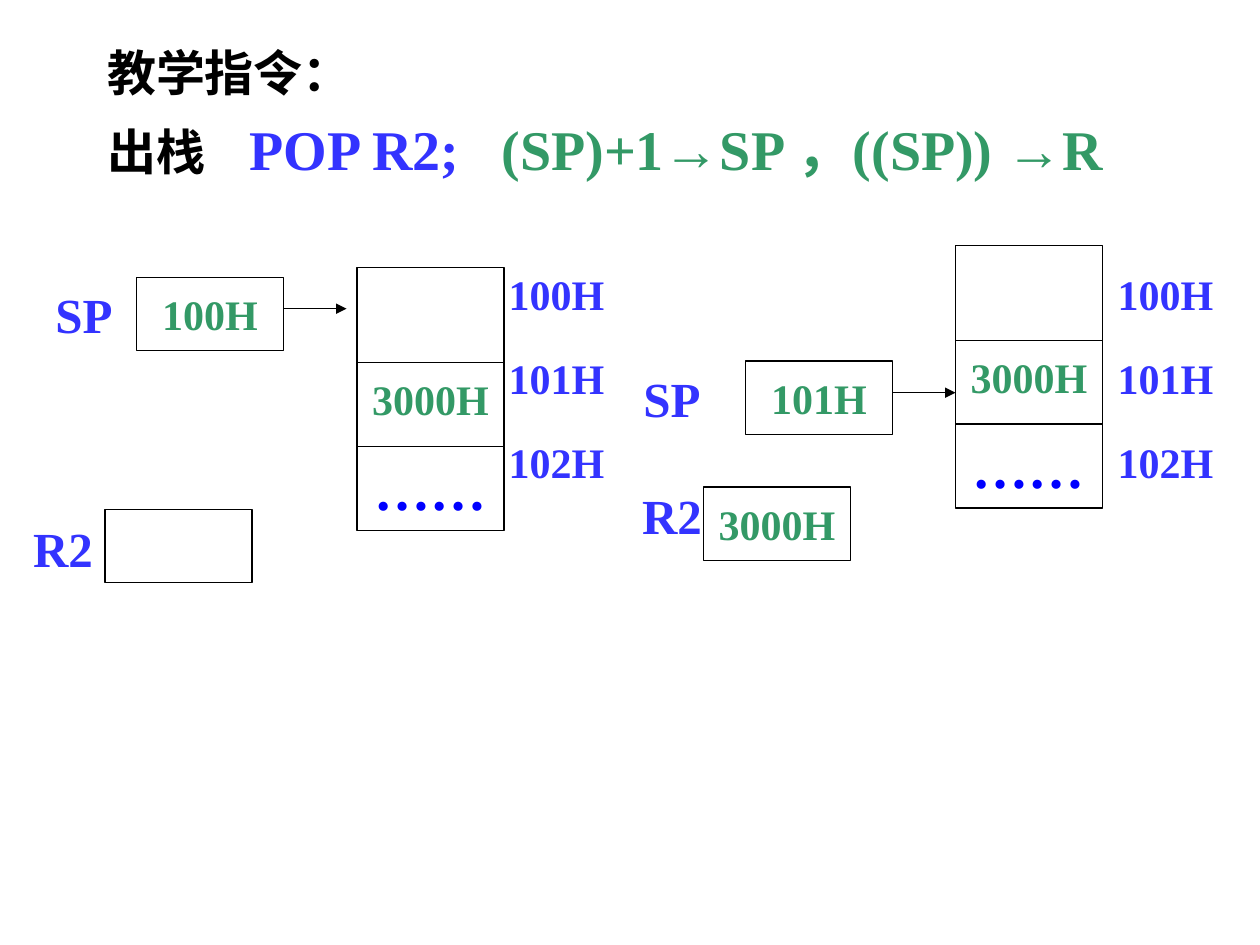
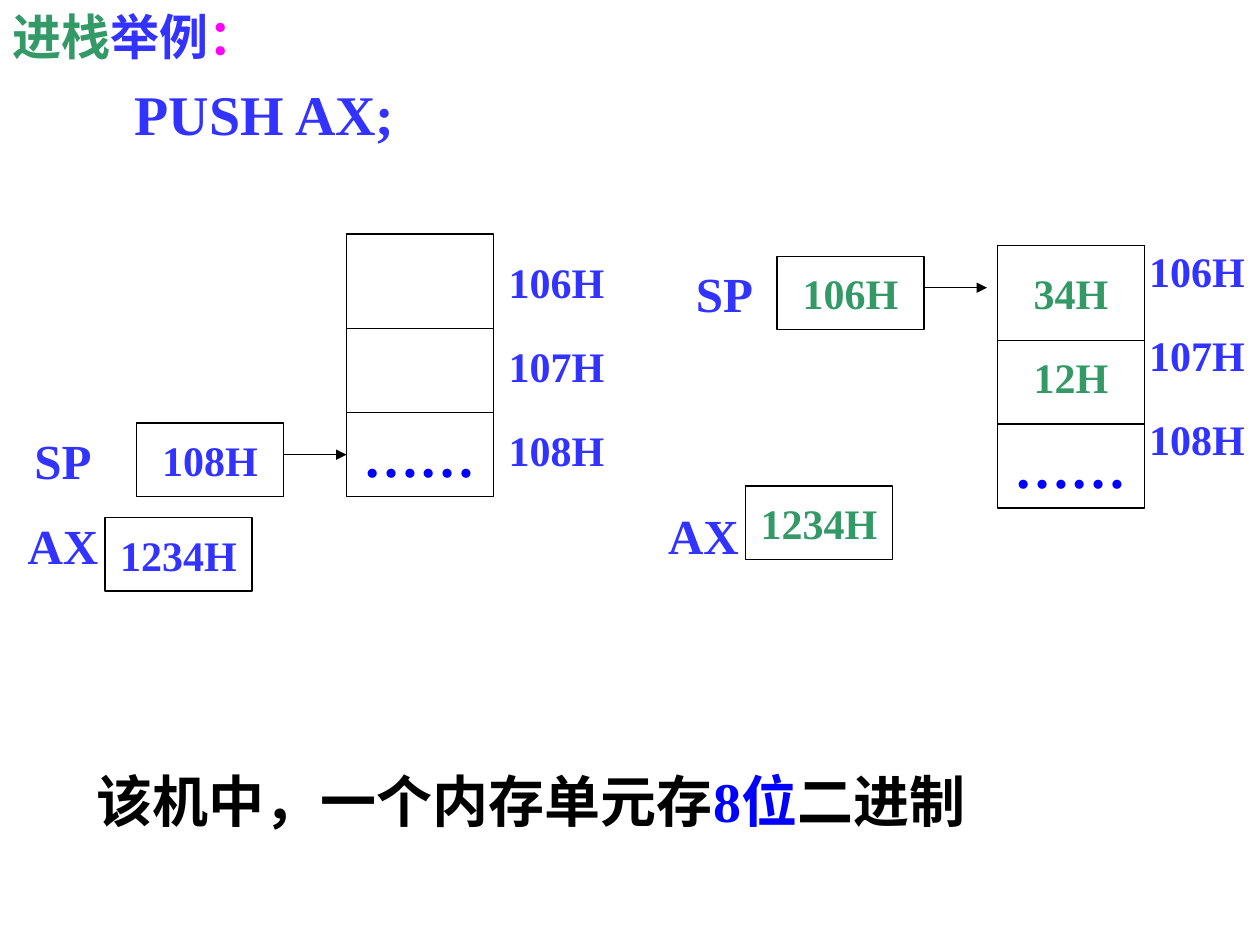
from lxml import etree
from pptx import Presentation
from pptx import util as u
from pptx.dml.color import RGBColor
from pptx.enum import shapes, text
from pptx.oxml.ns import qn

BLACK = RGBColor(0, 0, 0)
WHITE = RGBColor(255, 255, 255)
BLUE = RGBColor(0x33, 0x33, 0xFF)
PURE = RGBColor(0, 0, 255)
GREEN = RGBColor(0x33, 0x99, 0x66)
PINK = RGBColor(255, 0, 255)

deck = Presentation()
deck.slide_width, deck.slide_height = u.Inches(10), u.Inches(7.5)
COL = deck.slide_width / 120
ROW = deck.slide_height / 90


def write(frame, lines, align=text.PP_ALIGN.LEFT, anchor=text.MSO_ANCHOR.TOP,
          wrap=True, gap=0, tabs=()):
    frame.word_wrap = wrap
    frame.auto_size = text.MSO_AUTO_SIZE.NONE
    frame.vertical_anchor = anchor
    for i, line in enumerate(lines):
        para = frame.add_paragraph() if i else frame.paragraphs[0]
        para.alignment = align
        para.space_before = u.Pt(gap if i else 0)
        if tabs:
            stops = etree.SubElement(para._p.get_or_add_pPr(), qn("a:tabLst"))
            for pos in tabs:
                etree.SubElement(stops, qn("a:tab"), pos=str(u.Inches(pos)), algn="l")
        for words, size, tint in line:
            run = para.add_run()
            run.text = words
            run.font.name = "Times New Roman"
            run.font.size = u.Pt(size)
            run.font.bold = True
            run.font.color.rgb = tint


def box(slide, col, row, words, wide=14, high=7, size=24, tint=BLUE, edge=BLACK):
    rect = slide.shapes.add_shape(
        shapes.MSO_SHAPE.RECTANGLE,
        int(col * COL), int(row * ROW), int(wide * COL), int(high * ROW))
    rect.shadow.inherit = False
    rect.fill.solid()
    rect.fill.fore_color.rgb = WHITE
    rect.line.color.rgb = edge
    rect.line.width = u.Pt(0.75)
    if words:
        write(rect.text_frame, [[(words, size, tint)]], wrap=False,
              align=text.PP_ALIGN.CENTER, anchor=text.MSO_ANCHOR.MIDDLE)


pages = [
    dict(
        at=(9, 3.4, 102, 15.1), tabs=(1.13, 3.13),
        title=[[("教学指令：", 28, BLACK)],
               [("出栈\t", 28, BLACK), ("POP R2;\t", 32, BLUE),
                ("(SP)+1→SP ，((SP)) →R", 32, GREEN)]],
        reg="R2", cells=("100H", "101H", "102H"),
        views=[
            dict(stack=(34, 25.5), marks=(47, 24.5), data=("", "3000H", "……"),
                 sp=(2, 13, 26.4), top="100H", name=(0, 48.7), hold=(10, 48.5),
                 value="", tint=GREEN),
            dict(stack=(91, 23.4), marks=(105, 24.5), data=("", "3000H", "……"),
                 sp=(58, 71, 34.4), top="101H", name=(58, 45.5), hold=(67, 46.4),
                 value="3000H", tint=GREEN)]),
    dict(
        at=(0, 0, 113, 15.7), tabs=(0.97,),
        title=[[("进栈", 28, GREEN), ("举例", 28, BLUE), ("：", 28, PINK)],
               [("\tPUSH AX;", 32, BLUE)]],
        reg="AX", cells=("106H", "107H", "108H"),
        views=[
            dict(stack=(33, 22.3), marks=(47, 23.3), data=("", "", "……"),
                 sp=(0, 13, 40.3), top="108H", name=(0, 48.4), hold=(10, 49.3),
                 value="1234H", tint=BLUE),
            dict(stack=(95, 23.4), marks=(108, 22.3), data=("34H", "12H", "……"),
                 sp=(63, 74, 24.4), top="106H", name=(61, 47.4), hold=(71, 46.3),
                 value="1234H", tint=GREEN)]),
]

for page in pages:
    slide = deck.slides.add_slide(deck.slide_layouts[5])
    title = slide.shapes.title
    left, top, wide, high = page["at"]
    title.left, title.top = int(left * COL), int(top * ROW)
    title.width, title.height = int(wide * COL), int(high * ROW)
    write(title.text_frame, page["title"], gap=8, tabs=page["tabs"])

    for view in page["views"]:
        tint = view["tint"]
        col, row = view["marks"]
        for i, cell in enumerate(page["cells"]):
            box(slide, col, row + 8 * i, cell, wide=12, edge=WHITE)

        label, point, line = view["sp"]
        box(slide, label, line, "SP", wide=12, size=28, edge=WHITE)
        box(slide, *view["name"], page["reg"], wide=12, size=28, edge=WHITE)

        col, row = view["stack"]
        first, second, rest = view["data"]
        box(slide, col, row + 17, rest, high=8, size=32, tint=PURE)
        box(slide, col, row + 8, second, high=9, tint=tint)
        box(slide, col, row, first, high=9, tint=tint)
        box(slide, point, line, view["top"], tint=tint)
        box(slide, *view["hold"], view["value"], tint=tint)

        level = int((line + 3) * ROW)
        arrow = slide.shapes.add_connector(
            shapes.MSO_CONNECTOR.STRAIGHT,
            int((point + 14) * COL), level, int((point + 20) * COL), level)
        arrow.line.color.rgb = BLACK
        arrow.line.width = u.Pt(0.75)
        etree.SubElement(arrow.line._get_or_add_ln(), qn("a:tailEnd"), type="triangle")
        etree.SubElement(arrow._element.spPr, qn("a:effectLst"))

note = slide.shapes.add_textbox(int(8 * COL), int(72.4 * ROW), int(94 * COL), int(7.7 * ROW))
write(note.text_frame, [[("该机中，一个内存单元存", 32, BLACK), ("8位", 32, PURE),
                         ("二进制", 32, BLACK)]])

deck.save("out.pptx")
